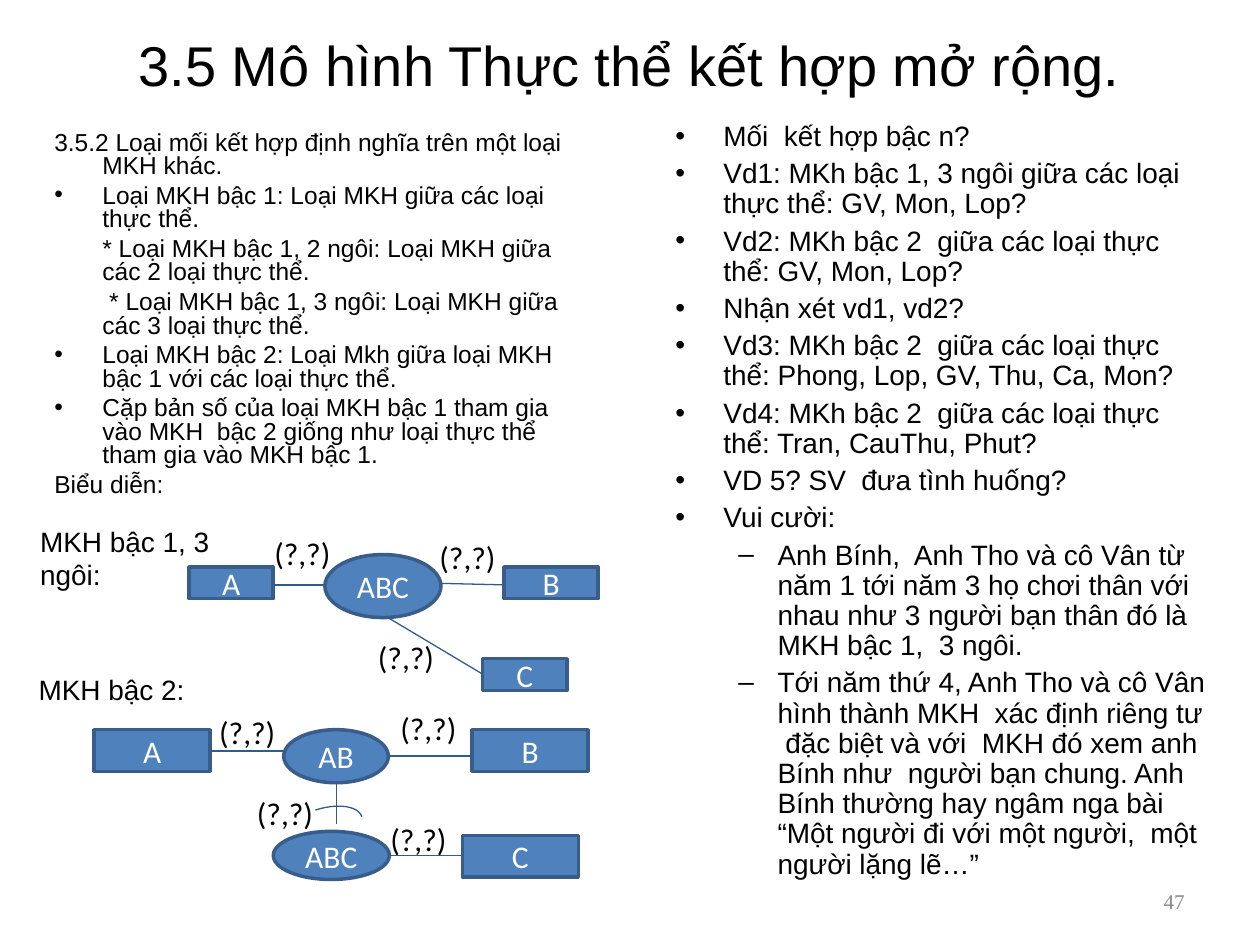
import pptx
import pptx.util
import pptx.dml.color
import pptx.enum.shapes
import pptx.enum.text
import pptx.oxml.ns
from lxml import etree

Cm, Pt = pptx.util.Cm, pptx.util.Pt
SHAPE = pptx.enum.shapes.MSO_SHAPE
ALIGN = pptx.enum.text.PP_ALIGN
MIDDLE = pptx.enum.text.MSO_ANCHOR.MIDDLE
BLACK, WHITE, FILL, EDGE, LINK = "000000", "FFFFFF", "4F81BD", "385D8A", "325B8C"

# Content: positions are left, top, width, height in cm
TITLE = "3.5 Mô hình Thực thể kết hợp mở rộng."

# Paragraph kinds: left margin, first-line indent, bullet
KINDS = {
    "hang": (0.97, -0.97, None),
    "plain": (0.97, 0, None),
    "dot": (0.97, -0.97, "•"),
    "dash": (2.06, -0.79, "–"),
}
THEORY = [
    ("hang", "3.5.2 Loại mối kết hợp định nghĩa trên một loại MKH khác."),
    ("dot", "Loại MKH bậc 1: Loại MKH giữa các loại thực thể."),
    ("plain", "* Loại MKH bậc 1, 2 ngôi: Loại MKH giữa các 2 loại thực thể."),
    ("plain", " * Loại MKH bậc 1, 3 ngôi: Loại MKH giữa các 3 loại thực thể."),
    ("dot", "Loại MKH bậc 2: Loại Mkh giữa loại MKH bậc 1 với các loại thực thể."),
    ("dot", "Cặp bản số của loại MKH bậc 1 tham gia vào MKH  bậc 2 giống như "
            "loại thực thể tham gia vào MKH bậc 1."),
    ("hang", "Biểu diễn:"),
]
EXAMPLES = [
    ("dot", "Mối  kết hợp bậc n?"),
    ("dot", "Vd1: MKh bậc 1, 3 ngôi giữa các loại thực thể: GV, Mon, Lop?"),
    ("dot", "Vd2: MKh bậc 2  giữa các loại thực thể: GV, Mon, Lop?"),
    ("dot", "Nhận xét vd1, vd2?"),
    ("dot", "Vd3: MKh bậc 2  giữa các loại thực thể: Phong, Lop, GV, Thu, Ca, Mon?"),
    ("dot", "Vd4: MKh bậc 2  giữa các loại thực thể: Tran, CauThu, Phut?"),
    ("dot", "VD 5? SV  đưa tình huống?"),
    ("dot", "Vui cười:"),
    ("dash", "Anh Bính,  Anh Tho và cô Vân từ năm 1 tới năm 3 họ chơi thân với "
             "nhau như 3 người bạn thân đó là MKH bậc 1,  3 ngôi."),
    ("dash", "Tới năm thứ 4, Anh Tho và cô Vân hình thành MKH  xác định riêng tư  "
             "đặc biệt và với  MKH đó xem anh Bính như  người bạn chung. Anh Bính "
             "thường hay ngâm nga bài “Một người đi với một người,  một người lặng lẽ…”"),
]
ENTITIES = [
    ("A", (3.81, 11.43, 1.7, 0.64)),
    ("B", (10.16, 11.43, 1.9, 0.64)),
    ("C", (9.73, 13.28, 1.7, 0.64)),
    ("A", (1.9, 14.71, 2.34, 0.84)),
    ("B", (9.52, 14.71, 2.34, 0.84)),
    ("C", (9.32, 16.84, 2.34, 0.84)),
]
RELATIONS = [
    ("ABC", (6.55, 11.18, 2.34, 1.27)),
    ("AB", (5.72, 14.71, 2.11, 1.07)),
    ("ABC", (5.51, 16.76, 2.34, 0.97)),
]
# Link ends: x1, y1, x2, y2
LINKS = [
    (8.89, 11.76, 10.16, 11.79), (7.82, 12.45, 9.73, 13.59),
    (5.51, 11.79, 6.55, 11.79), (4.24, 15.14, 5.72, 15.14),
    (7.82, 15.24, 9.52, 15.24), (6.78, 15.77, 6.78, 16.61),
    (7.82, 17.25, 9.32, 17.25),
]
CARDINALITY = "(?,?)"
CARDINALITY_AT = [
    (8.61, 10.72), (5.28, 10.64), (7.37, 12.73), (7.82, 14.17),
    (7.62, 16.41), (4.93, 15.88), (4.17, 14.25),
]
CAPTIONS = [
    ("MKH bậc 1, 3 ngôi:", (0.56, 10.44, 4.24, 1.63)),
    ("MKH bậc 2:", (0.53, 13.44, 4.24, 0.94)),
]


def cm(values):
    return [Cm(v) for v in values]


def rgb(color):
    return pptx.dml.color.RGBColor.from_string(color)


def format_paragraph(p, size, font="Arial", color=BLACK, align=None):
    p.alignment = align
    for r in p.runs:
        r.font.size, r.font.name = Pt(size), font
        r.font.color.rgb = rgb(color)


def place(sp, box):
    sp.left, sp.top, sp.width, sp.height = cm(box)


def fill_list(sp, box, items, size, line_spacing, before):
    place(sp, box)
    tf = sp.text_frame
    tf.auto_size = pptx.enum.text.MSO_AUTO_SIZE.NONE
    tf.text = "\n".join(text for _, text in items)
    for i, (p, (kind, _)) in enumerate(zip(tf.paragraphs, items)):
        margin, indent, bullet = KINDS[kind]
        pPr = p._p.get_or_add_pPr()
        pPr.set("marL", str(Cm(margin)))
        pPr.set("indent", str(Cm(indent)))
        tag = "a:buChar" if bullet else "a:buNone"
        bu = etree.SubElement(pPr, pptx.oxml.ns.qn(tag))
        if bullet:
            bu.set("char", bullet)
        p.line_spacing = line_spacing
        p.space_before = Pt(before if i else 0)
        format_paragraph(p, size)


def add_text(s, text, box, size, font, color=BLACK, align=None):
    sp = s.shapes.add_textbox(*cm(box))
    tf = sp.text_frame
    tf.word_wrap = True
    tf.text = text
    format_paragraph(tf.paragraphs[0], size, font, color, align)
    return sp


def add_node(s, shape, text, box):
    sp = s.shapes.add_shape(shape, *cm(box))
    sp.shadow.inherit = False
    sp.fill.solid()
    sp.fill.fore_color.rgb = rgb(FILL)
    sp.line.color.rgb = rgb(EDGE)
    sp.line.width = Pt(2)
    tf = sp.text_frame
    tf.text = text
    tf.vertical_anchor = MIDDLE
    format_paragraph(tf.paragraphs[0], 18, "Calibri", WHITE, ALIGN.CENTER)


def style_link(sp):
    sp.line.color.rgb = rgb(LINK)
    sp.line.width = Pt(0.75)


prs = pptx.Presentation()
prs.slide_width, prs.slide_height = Cm(25.4), Cm(19.05)
s = prs.slides.add_slide(prs.slide_layouts[3])
title, left, right = s.placeholders

# Title and lists
place(title, (1.27, 0.61, 22.86, 1.35))
title.text_frame.text = TITLE
title.text_frame.vertical_anchor = MIDDLE
format_paragraph(title.text_frame.paragraphs[0], 32, align=ALIGN.CENTER)
fill_list(left, (0.84, 2.54, 11.23, 7.82), THEORY, 14, 0.8, 3.5)
fill_list(right, (13.36, 2.34, 11.23, 15.88), EXAMPLES, 16, 0.9, 4)

# Diagrams
for shape, nodes in ((SHAPE.RECTANGLE, ENTITIES), (SHAPE.OVAL, RELATIONS)):
    for text, box in nodes:
        add_node(s, shape, text, box)

for ends in LINKS:
    link = s.shapes.add_connector(pptx.enum.shapes.MSO_CONNECTOR.STRAIGHT, *cm(ends))
    style_link(link)
    etree.SubElement(link._element.spPr, pptx.oxml.ns.qn("a:effectLst"))

arc = s.shapes.add_shape(SHAPE.ARC, *cm((5.64, 16.31, 1.7, 0.84)))
arc.rotation = 341.8
arc.shadow.inherit = False
arc.fill.background()
style_link(arc)

# Labels and captions
for x, y in CARDINALITY_AT:
    add_text(s, CARDINALITY, (x, y, 1.9, 1.02), 18, "Calibri")
for text, box in CAPTIONS:
    add_text(s, text, box, 16, "Arial")

# Page number
number = add_text(s, "47", (18.21, 17.65, 5.92, 1.02), 12, "Times New Roman",
                  "898989", ALIGN.RIGHT)
number.text_frame.vertical_anchor = MIDDLE

prs.save("out.pptx")
